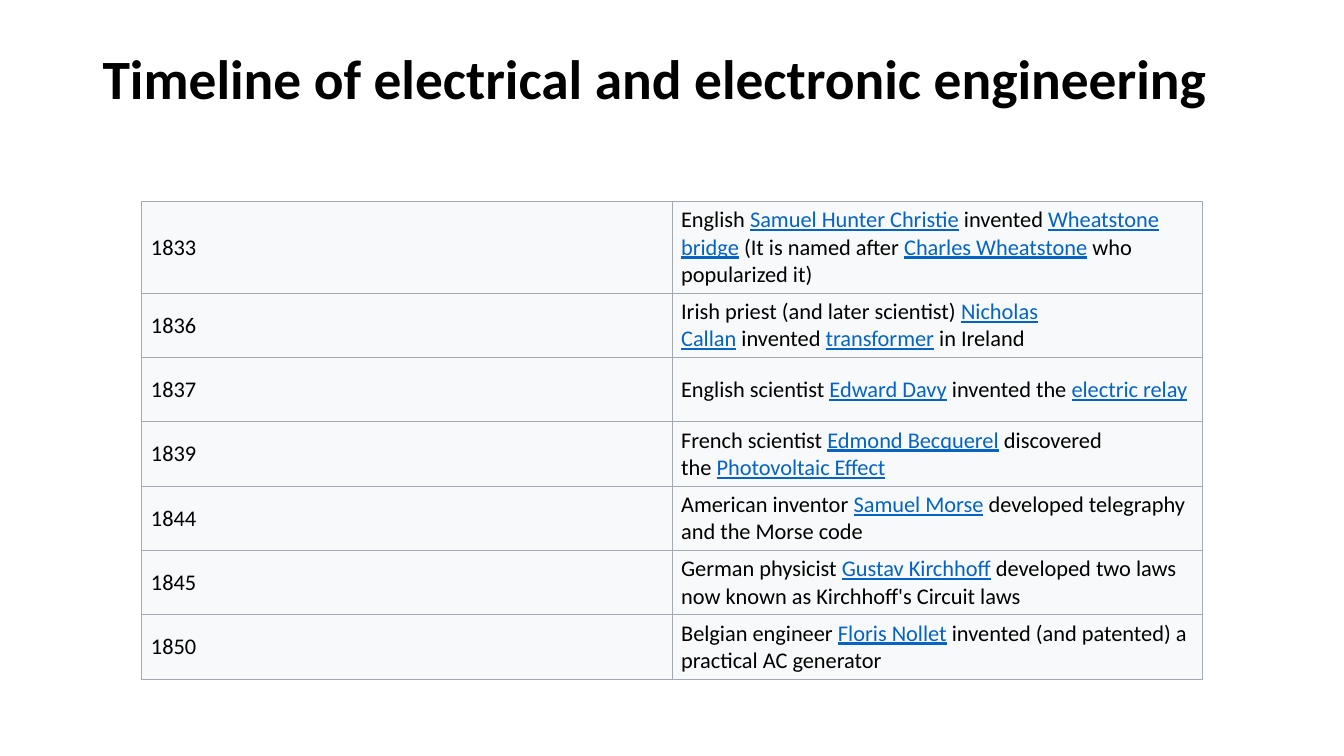
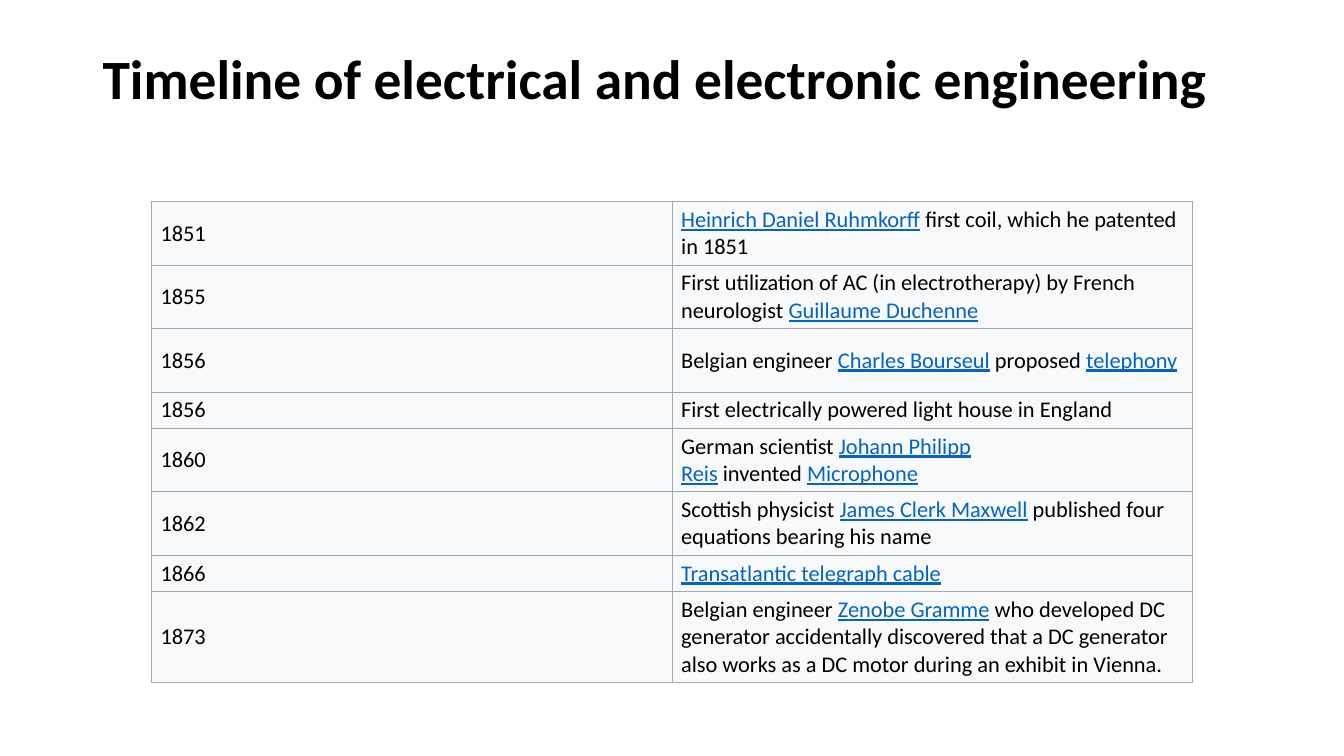
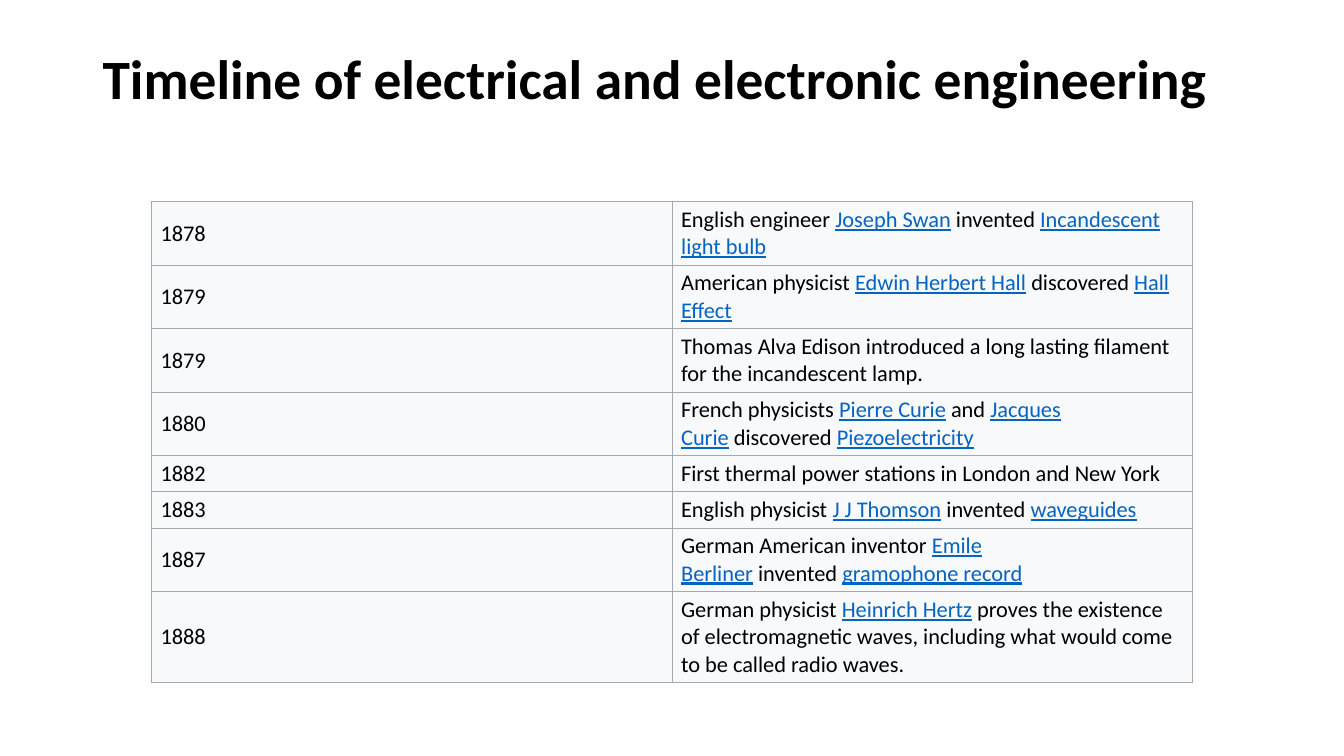
from dataclasses import dataclass

from lxml import etree
from pptx import Presentation
from pptx.dml.color import RGBColor
from pptx.enum.text import MSO_ANCHOR, MSO_AUTO_SIZE, PP_ALIGN
from pptx.oxml.ns import qn
from pptx.util import Cm, Pt

TOP = MSO_ANCHOR.TOP
MIDDLE = MSO_ANCHOR.MIDDLE
LEFT = PP_ALIGN.LEFT
NO_AUTOFIT = MSO_AUTO_SIZE.NONE

# Shared look, lengths in centimetres
FONT = "Calibri"
BLACK, LINK_BLUE, CELL_GREY, BORDER_GREY = "000000", "0563C1", "F8F9FA", "A2A9B1"
SLIDE_WIDTH, SLIDE_HEIGHT = 33.87, 19.05
TITLE = "Timeline of electrical and electronic engineering"
TITLE_BOX = (2.33, 1.01, 29.21, 3.68)
TITLE_ONLY_LAYOUT = 5
TABLE_TOP = 5.08
LINE_HEIGHT = 0.69
SIDE_MARGIN = 0.23
NO_BREAK_SPACE = chr(160)


@dataclass(frozen=True)
class Event:
    year: str
    text: str  # square brackets enclose link-styled words
    lines: int = 2  # row height in text lines


@dataclass(frozen=True)
class Timeline:
    column_width: float
    row_margin: float
    events: tuple[Event, ...]


TIMELINES = (
    Timeline(13.36, 0.12, (
        Event("1833", "English [Samuel Hunter Christie] invented [Wheatstone bridge] "
              "(It is named after [Charles Wheatstone] who popularized it)", 3),
        Event("1836", "Irish priest (and later scientist) [Nicholas Callan] invented "
              "[transformer] in Ireland"),
        Event("1837", "English scientist [Edward Davy] invented the [electric relay]"),
        Event("1839", "French scientist [Edmond Becquerel] discovered the "
              "[Photovoltaic Effect]"),
        Event("1844", "American inventor [Samuel Morse] developed telegraphy "
              "and the Morse code"),
        Event("1845", "German physicist [Gustav Kirchhoff] developed two laws "
              "now known as Kirchhoff's Circuit laws"),
        Event("1850", "Belgian engineer [Floris Nollet] invented (and patented) "
              "a practical AC generator"),
    )),
    Timeline(13.12, 0.11, (
        Event("1851", "[Heinrich Daniel Ruhmkorff] first coil, which he patented in 1851"),
        Event("1855", "First utilization of AC (in electrotherapy) by French "
              "neurologist [Guillaume Duchenne]"),
        Event("1856", "Belgian engineer [Charles Bourseul] proposed [telephony]"),
        Event("1856", "First electrically powered light house in England", 1),
        Event("1860", "German scientist [Johann Philipp Reis] invented [Microphone]"),
        Event("1862", "Scottish physicist [James Clerk Maxwell] published four "
              "equations bearing his name"),
        Event("1866", "[Transatlantic telegraph cable]", 1),
        Event("1873", "Belgian engineer [Zenobe Gramme] who developed DC generator "
              "accidentally discovered that a DC generator also works as a DC motor "
              "during an exhibit in Vienna.", 3),
    )),
    Timeline(13.12, 0.11, (
        Event("1878", "English engineer [Joseph Swan] invented [Incandescent light bulb]"),
        Event("1879", "American physicist [Edwin Herbert Hall] discovered [Hall Effect]"),
        Event("1879", "Thomas Alva Edison introduced a long lasting filament "
              "for the incandescent lamp."),
        Event("1880", "French physicists [Pierre Curie] and [Jacques Curie] discovered "
              "[Piezoelectricity]"),
        Event("1882", "First thermal power stations in London and New York", 1),
        Event("1883", "English physicist [J J Thomson] invented [waveguides]", 1),
        Event("1887", "German American inventor [Emile Berliner] invented "
              "[gramophone record]"),
        Event("1888", "German physicist [Heinrich Hertz] proves the existence of "
              "electromagnetic waves, including what would come to be called "
              "radio waves.", 3),
    )),
)


def rgb(value: str) -> RGBColor:
    return RGBColor.from_string(value)


def add_text(paragraph, text: str, *, size: float = 16, color: str = BLACK,
             bold: bool = False, underline: bool = False) -> None:
    run = paragraph.add_run()
    run.text = text
    font = run.font
    font.name, font.size, font.bold, font.underline = FONT, Pt(size), bold, underline
    font.color.rgb = rgb(color)


def add_linked_text(paragraph, text: str) -> None:
    """Style bracketed words as links and join them to their neighbours."""
    text = text.replace(" [", NO_BREAK_SPACE + "[").replace("] ", "]" + NO_BREAK_SPACE)
    for index, part in enumerate(text.replace("]", "[").split("[")):
        is_link = index % 2 == 1
        if part:
            add_text(paragraph, part, color=LINK_BLUE if is_link else BLACK,
                     underline=is_link)


def set_borders(cell) -> None:
    properties = cell._tc.get_or_add_tcPr()
    for index, side in enumerate(("lnL", "lnR", "lnT", "lnB")):
        line = etree.Element(qn(f"a:{side}"), w=str(Pt(0.75)))
        fill = etree.SubElement(line, qn("a:solidFill"))
        etree.SubElement(fill, qn("a:srgbClr"), val=BORDER_GREY)
        properties.insert(index, line)


def fill_cell(cell, text: str, row_margin: float) -> None:
    cell.fill.solid()
    cell.fill.fore_color.rgb = rgb(CELL_GREY)
    cell.vertical_anchor = MIDDLE
    cell.margin_left = cell.margin_right = Cm(SIDE_MARGIN)
    cell.margin_top = cell.margin_bottom = Cm(row_margin)
    set_borders(cell)
    add_linked_text(cell.text_frame.paragraphs[0], text)


def add_title(slide) -> None:
    title = slide.shapes.title
    title.left, title.top, title.width, title.height = map(Cm, TITLE_BOX)
    frame = title.text_frame
    frame.auto_size = NO_AUTOFIT
    frame.word_wrap = True
    frame.vertical_anchor = TOP
    frame.margin_top = Cm(0.3)
    paragraph = frame.paragraphs[0]
    paragraph.alignment = LEFT
    paragraph.line_spacing = 0.9
    add_text(paragraph, TITLE, size=39.6, bold=True)


def add_timeline(slide, timeline: Timeline) -> None:
    heights = [2 * timeline.row_margin + LINE_HEIGHT * event.lines
               for event in timeline.events]
    width = 2 * timeline.column_width
    shape = slide.shapes.add_table(
        len(heights), 2, Cm((SLIDE_WIDTH - width) / 2), Cm(TABLE_TOP),
        Cm(width), Cm(sum(heights)))
    table = shape.table
    table.first_row = table.horz_banding = False
    for column in table.columns:
        column.width = Cm(timeline.column_width)
    for row, height, event in zip(table.rows, heights, timeline.events):
        row.height = Cm(height)
        for cell, text in zip(row.cells, (event.year, event.text)):
            fill_cell(cell, text, timeline.row_margin)


def main() -> None:
    presentation = Presentation()
    presentation.slide_width = Cm(SLIDE_WIDTH)
    presentation.slide_height = Cm(SLIDE_HEIGHT)
    layout = presentation.slide_layouts[TITLE_ONLY_LAYOUT]
    for timeline in TIMELINES:
        slide = presentation.slides.add_slide(layout)
        add_title(slide)
        add_timeline(slide, timeline)
    presentation.save("out.pptx")


if __name__ == "__main__":
    main()
